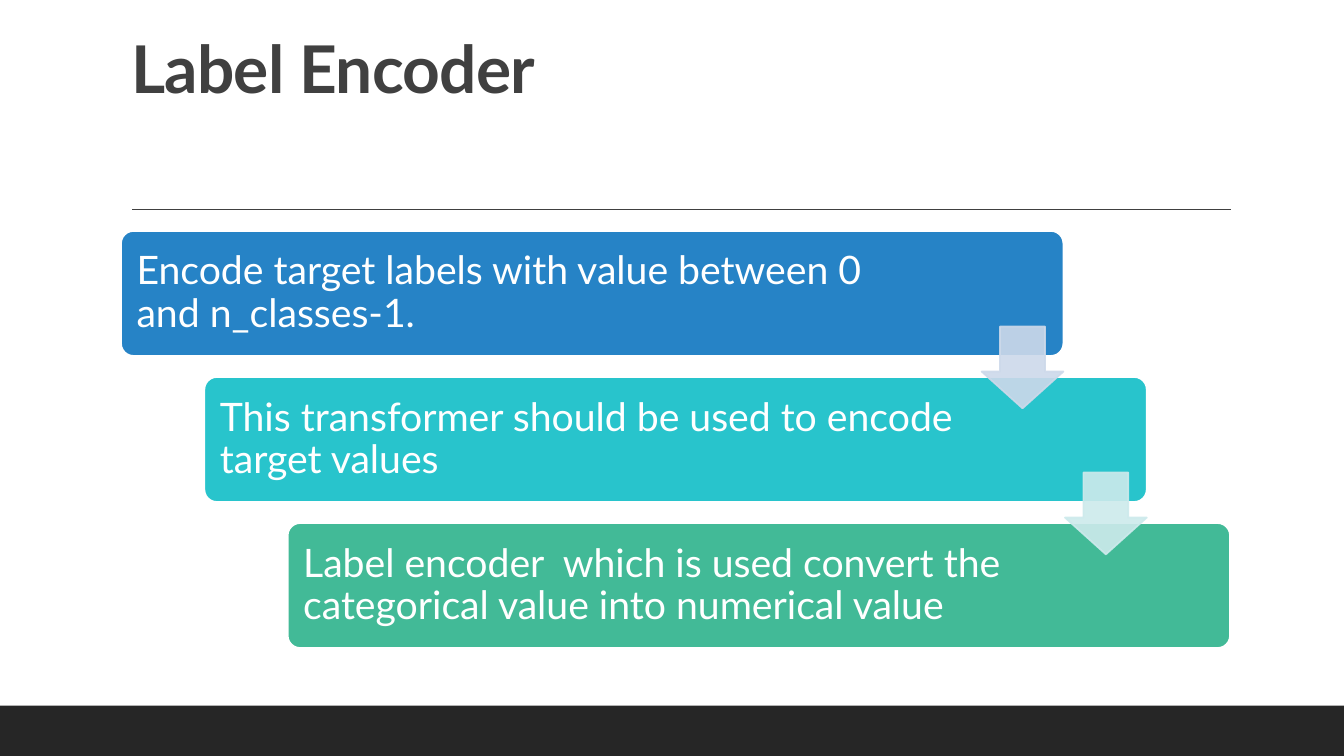
import dataclasses

import lxml.etree
import pptx
import pptx.dml.color
import pptx.enum.shapes
import pptx.enum.text
import pptx.oxml.ns
import pptx.util

Cm = pptx.util.Cm
Pt = pptx.util.Pt
RGBColor = pptx.dml.color.RGBColor
Kind = pptx.enum.shapes.MSO_SHAPE
Anchor = pptx.enum.text.MSO_ANCHOR
qn = pptx.oxml.ns.qn

FONT = "Lato"
WHITE = RGBColor(0xFF, 0xFF, 0xFF)
GREY = RGBColor(0x40, 0x40, 0x40)
DARK = RGBColor(0x26, 0x26, 0x26)
BLUE = RGBColor(0x26, 0x83, 0xC6)
TEAL = RGBColor(0x28, 0xC4, 0xCC)
GREEN = RGBColor(0x42, 0xBA, 0x97)
PALE_BLUE = RGBColor(0xCD, 0xD9, 0xEA)
PALE_TEAL = RGBColor(0xCD, 0xEA, 0xEC)

WIDTH, HEIGHT = 33.87, 19.05
STEP_X, STEP_Y = 2.1, 3.68


@dataclasses.dataclass
class Step:
    """One box of the stair."""
    text: str
    fill: RGBColor


STEPS = [
    Step("Encode target labels with value between 0 and n_classes-1.", BLUE),
    Step("This transformer should be used to encode target values", TEAL),
    Step("Label encoder\u00a0 which is used convert the "
         "categorical value into numerical value", GREEN),
]
ARROWS = [PALE_BLUE, PALE_TEAL]


def add_form(slide, kind, left: float, top: float, width: float,
             height: float, fill: RGBColor, edge: RGBColor | None = None):
    """Add a filled preset shape, with sizes in centimetres."""
    form = slide.shapes.add_shape(
        kind, Cm(left), Cm(top), Cm(width), Cm(height))
    form.shadow.inherit = False
    form.fill.solid()
    form.fill.fore_color.rgb = fill
    if edge is None:
        form.line.fill.background()
    else:
        form.line.color.rgb = edge
        form.line.width = Pt(1.25)
    return form


def add_text(frame, text: str, size: float, color: RGBColor,
             bold: bool = False):
    """Write one left-aligned run into a frame and return it."""
    frame.word_wrap = True
    frame.auto_size = pptx.enum.text.MSO_AUTO_SIZE.NONE
    para = frame.paragraphs[0]
    para.alignment = pptx.enum.text.PP_ALIGN.LEFT
    para.line_spacing = 0.9
    run = para.add_run()
    run.text = text
    run.font.name = FONT
    run.font.size = Pt(size)
    run.font.bold = bold
    run.font.color.rgb = color
    return run


def add_title(slide, text: str) -> None:
    """Place and fill the title."""
    title = slide.shapes.title
    title.left, title.top = Cm(3.05), Cm(0.79)
    title.width, title.height = Cm(27.94), Cm(4.04)
    title.text_frame.vertical_anchor = Anchor.TOP
    run = add_text(title.text_frame, text, 47, GREY, True)
    run._r.get_or_add_rPr().set("spc", "-50")


def add_rule(slide) -> None:
    """Draw the line below the title."""
    rule = slide.shapes.add_connector(
        pptx.enum.shapes.MSO_CONNECTOR.STRAIGHT,
        Cm(3.33), Cm(5.28), Cm(31.01), Cm(5.28))
    rule.line.color.rgb = GREY
    rule.line.width = Pt(1)
    lxml.etree.SubElement(rule._element.spPr, qn("a:effectLst"))


def add_step(slide, place: int, step: Step) -> None:
    """Draw one box of the stair."""
    box = add_form(slide, Kind.ROUNDED_RECTANGLE, 3.05 + place * STEP_X,
                   5.82 + place * STEP_Y, 23.75, 3.15, step.fill, WHITE)
    box.adjustments[0] = 0.1
    frame = box.text_frame
    frame.vertical_anchor = Anchor.MIDDLE
    frame.margin_left = frame.margin_top = frame.margin_bottom = Cm(0.3)
    frame.margin_right = Cm(4.4)
    add_text(frame, step.text, 28, WHITE)


def add_arrow(slide, place: int, color: RGBColor) -> None:
    """Draw a slightly clear arrow from one box to the next."""
    arrow = add_form(slide, Kind.DOWN_ARROW, 24.74 + place * STEP_X,
                     8.23 + place * STEP_Y, 2.06, 2.06, color, color)
    arrow.adjustments[0] = 0.55
    arrow.adjustments[1] = 0.45
    for tint in arrow._element.spPr.iter(qn("a:srgbClr")):
        lxml.etree.SubElement(tint, qn("a:alpha"), val="90000")


def main() -> None:
    """Build and save the slide."""
    deck = pptx.Presentation()
    deck.slide_width, deck.slide_height = Cm(WIDTH), Cm(HEIGHT)
    slide = deck.slides.add_slide(deck.slide_layouts[5])
    add_title(slide, "Label Encoder")
    add_rule(slide)
    add_form(slide, Kind.RECTANGLE, 0, 17.78, WIDTH, HEIGHT - 17.78, DARK)
    for place, step in enumerate(STEPS):
        add_step(slide, place, step)
    for place, color in enumerate(ARROWS):
        add_arrow(slide, place, color)
    deck.save("out.pptx")


main()
